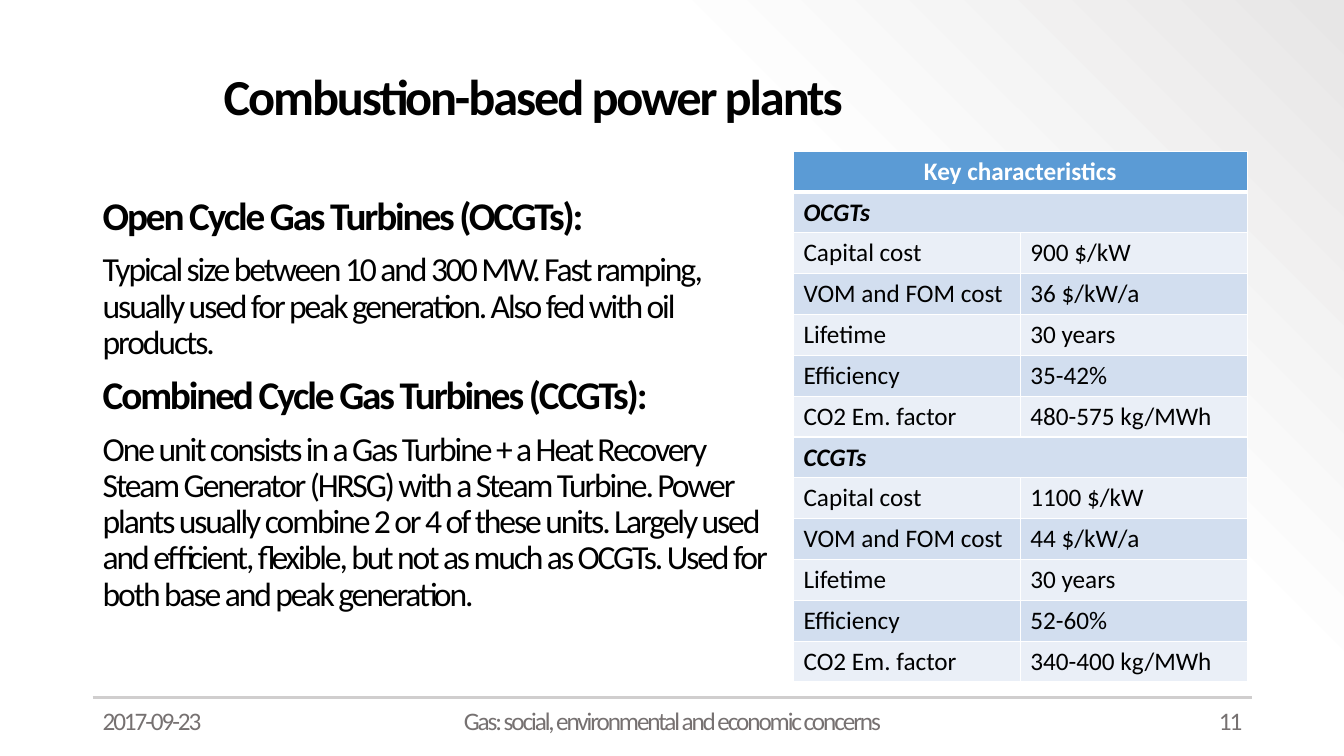
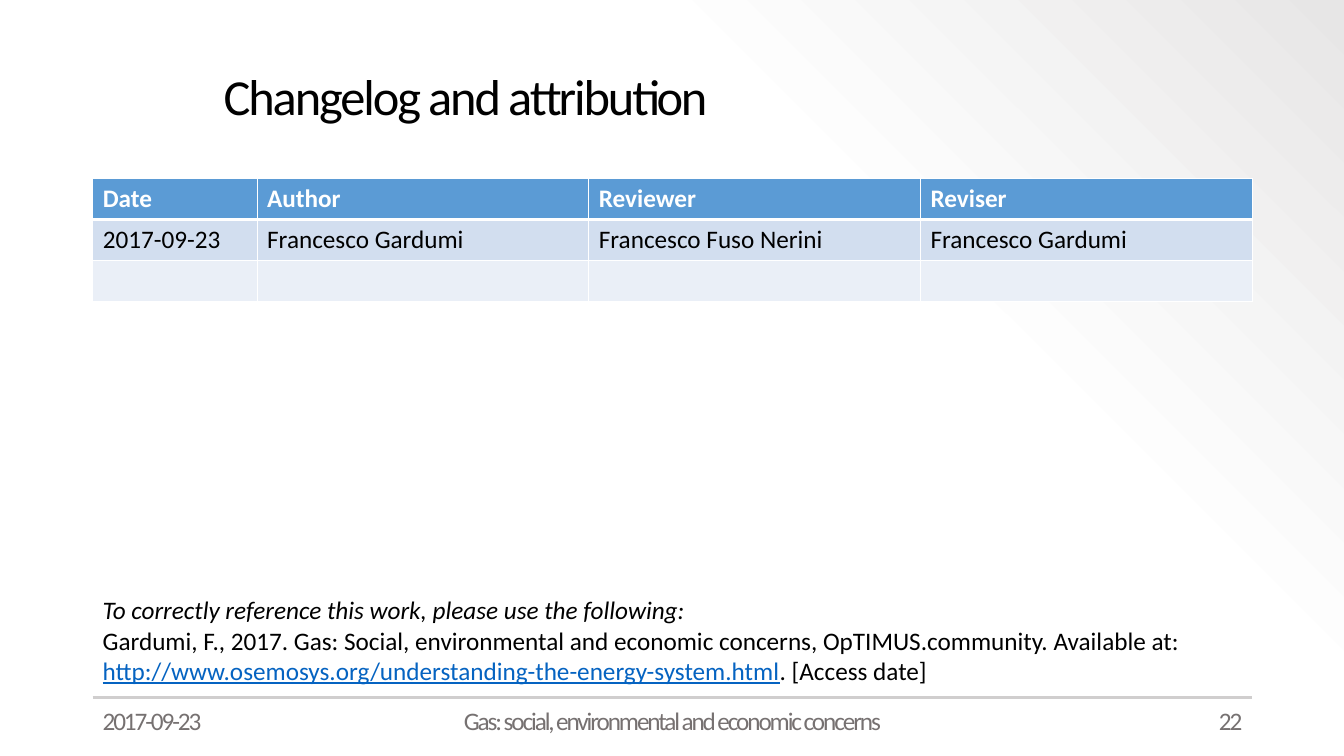
from lxml import etree
from pptx import Presentation
from pptx.dml.color import RGBColor
from pptx.enum.shapes import MSO_CONNECTOR
from pptx.enum.text import MSO_ANCHOR, PP_ALIGN
from pptx.oxml import parse_xml
from pptx.oxml.ns import nsdecls, qn
from pptx.util import Inches, Pt

LEFT, CENTER, RIGHT = PP_ALIGN.LEFT, PP_ALIGN.CENTER, PP_ALIGN.RIGHT
TOP, MIDDLE = MSO_ANCHOR.TOP, MSO_ANCHOR.MIDDLE
STRAIGHT = MSO_CONNECTOR.STRAIGHT

# Shared look
WIDTH, HEIGHT = 13.33, 7.5
MARGIN = 0.92
CONTENT = 11.5
FONT = "Calibri"
TIGHT = -150  # letter spacing in hundredths of a point
COLORS = {
    "black": "000000", "white": "FFFFFF", "footer": "767171", "rule": "D0CECE",
    "link": "0563C1", "header": "5B9BD5", "dark_band": "D2DEEF", "light_band": "EAEFF7",
}
BACKGROUND = [(0, "FFFFFF", 100), (69, "FDFDFD", 100), (100, "E7E6E6", 50)]

# Content
DATE = "2017-09-23"
FOOTER = "Gas: social, environmental and economic concerns"
TURBINES = [
    ("Open Cycle Gas Turbines (OCGTs):",
     "Typical size between 10 and 300 MW. Fast ramping, usually used for peak generation. "
     "Also fed with oil products."),
    ("Combined Cycle Gas Turbines (CCGTs):",
     "One unit consists in a Gas Turbine + a Heat Recovery Steam Generator (HRSG) with a "
     "Steam Turbine. Power plants usually combine 2 or 4 of these units. Largely used and "
     "efficient, flexible, but not as much as OCGTs. Used for both base and peak generation."),
]
MEASURES = ["Capital cost", "VOM and FOM cost", "Lifetime", "Efficiency", "CO2 Em. factor"]
PLANTS = {
    "OCGTs": ["900 $/kW", "36 $/kW/a", "30 years", "35-42%", "480-575 kg/MWh"],
    "CCGTs": ["1100 $/kW", "44 $/kW/a", "30 years", "52-60%", "340-400 kg/MWh"],
}
CHANGELOG = [
    ["Date", "Author", "Reviewer", "Reviser"],
    [DATE, "Francesco Gardumi", "Francesco Fuso Nerini", "Francesco Gardumi"],
    [""] * 4,
]
REFERENCE_LEAD = "To correctly reference this work, please use the following:"
REFERENCE = [
    "Gardumi, F., 2017. Gas: Social, environmental and economic concerns, "
    "OpTIMUS.community. Available at: ",
    "http://www.osemosys.org/understanding-the-energy-system.html",
    ". [Access date]",
]


def color(name):
    return RGBColor.from_string(COLORS[name])


def style(para, size, tint="black", bold=False, italic=False, align=LEFT, spacing=0):
    para.alignment = align
    font = para.font
    font.name, font.size, font.bold, font.italic = FONT, Pt(size), bold, italic
    font.color.rgb = color(tint)
    for span in para.runs:
        if spacing:
            span._r.get_or_add_rPr().set("spc", str(spacing))


def add_box(page, left, top, width, height, texts, anchor=TOP):
    """Add a text box with one paragraph per text and return its paragraphs."""
    box = page.shapes.add_textbox(Inches(left), Inches(top), Inches(width), Inches(height))
    frame = box.text_frame
    frame.word_wrap = True
    frame.vertical_anchor = anchor
    frame.text = "\n".join(texts)
    return frame


def paint_background(master):
    fill = master.background.fill
    fill.gradient()
    fill.gradient_angle = 45
    stops = master._element.find(".//" + qn("a:gsLst"))
    for stop in list(stops):
        stops.remove(stop)
    for position, tint, opacity in BACKGROUND:
        stops.append(parse_xml(
            f'<a:gs {nsdecls("a")} pos="{position * 1000}"><a:srgbClr val="{tint}">'
            f'<a:alpha val="{opacity * 1000}"/></a:srgbClr></a:gs>'))


def add_page(deck, title, number, bold):
    page = deck.slides.add_slide(deck.slide_layouts[6])
    # Footer rule
    rule = page.shapes.add_connector(STRAIGHT, Inches(MARGIN), Inches(6.92),
                                     Inches(MARGIN + CONTENT), Inches(6.92))
    rule.line.color.rgb = color("rule")
    rule.line.width = Pt(1.5)
    etree.SubElement(rule._element.spPr, qn("a:effectLst"))
    # Footer texts
    right = MARGIN + CONTENT
    for left, width, text, align in [(MARGIN, 3, DATE, LEFT),
                                     (MARGIN + (CONTENT - 4.5) / 2, 4.5, FOOTER, CENTER),
                                     (right - 3, 3, str(number), RIGHT)]:
        frame = add_box(page, left, 6.95, width, 0.4, [text])
        style(frame.paragraphs[0], 18, "footer", align=align, spacing=TIGHT)
    # Title
    para = add_box(page, 2.12, 0.37, 10.3, 1.22, [title], MIDDLE).paragraphs[0]
    para.line_spacing = 0.9
    style(para, 36, bold=bold, spacing=TIGHT)
    return page


def set_borders(cell, top, bottom):
    props = cell._tc.get_or_add_tcPr()
    sides = [("lnL", 1), ("lnR", 1), ("lnT", top), ("lnB", bottom)]
    for index, (side, points) in enumerate(sides):
        props.insert(index, parse_xml(
            f'<a:{side} {nsdecls("a")} w="{Pt(points)}"><a:solidFill>'
            f'<a:srgbClr val="{COLORS["white"]}"/></a:solidFill></a:{side}>'))


def add_banded_table(page, left, top, height, widths, rows):
    """Add a table; a row with a single text spans all columns."""
    table = page.shapes.add_table(len(rows), len(widths), Inches(left), Inches(top),
                                  Inches(sum(widths)), Inches(height)).table
    for column, width in zip(table.columns, widths):
        column.width = Inches(width)
    for index, texts in enumerate(rows):
        header, spans = index == 0, len(texts) == 1
        band = "header" if header else "dark_band" if index % 2 else "light_band"
        for number, cell in enumerate(table.rows[index].cells):
            cell.fill.solid()
            cell.fill.fore_color.rgb = color(band)
            set_borders(cell, 3 if index == 1 else 1, 3 if header else 1)
            para = cell.text_frame.paragraphs[0]
            if number < len(texts):
                para.text = texts[number]
            style(para, 18, "white" if header else "black", bold=header or spans,
                  italic=spans and not header, align=CENTER if header and spans else LEFT)
        if spans:
            table.cell(index, 0).merge(table.cell(index, len(widths) - 1))


def build_plants(deck):
    page = add_page(deck, "Combustion-based power plants", 11, True)
    rows = [["Key characteristics"]]
    for plant, values in PLANTS.items():
        rows += [[plant], *zip(MEASURES, values)]
    add_banded_table(page, 7.87, 1.5, 5.27, [2.25, 2.25], rows)
    # Turbine descriptions: heading and text in turn
    texts = [text for pair in TURBINES for text in pair]
    frame = add_box(page, MARGIN, 1.9, 6.78, 5.37, texts)
    for index, para in enumerate(frame.paragraphs):
        heading = index % 2 == 0
        para.line_spacing = 0.9
        para.space_before = Pt(10 if index else 0)
        style(para, 28 if heading else 24, bold=heading, spacing=TIGHT)


def build_changelog(deck):
    page = add_page(deck, "Changelog and attribution", 22, False)
    add_banded_table(page, MARGIN, 1.77, 1.22, [1.63] + [3.29] * 3, CHANGELOG)
    # Reference
    frame = add_box(page, MARGIN, 5.9, CONTENT, 0.93, [REFERENCE_LEAD, ""])
    frame.margin_top = frame.margin_bottom = 0
    lead, citation = frame.paragraphs
    spans = [citation.add_run() for _ in REFERENCE]
    for span, text in zip(spans, REFERENCE):
        span.text = text
    style(lead, 18, italic=True)
    style(citation, 18)
    address = spans[1].font
    address.color.rgb = color("link")
    address.underline = True


def main():
    deck = Presentation()
    deck.slide_width, deck.slide_height = Inches(WIDTH), Inches(HEIGHT)
    paint_background(deck.slide_master)
    build_plants(deck)
    build_changelog(deck)
    deck.save("out.pptx")


if __name__ == "__main__":
    main()
